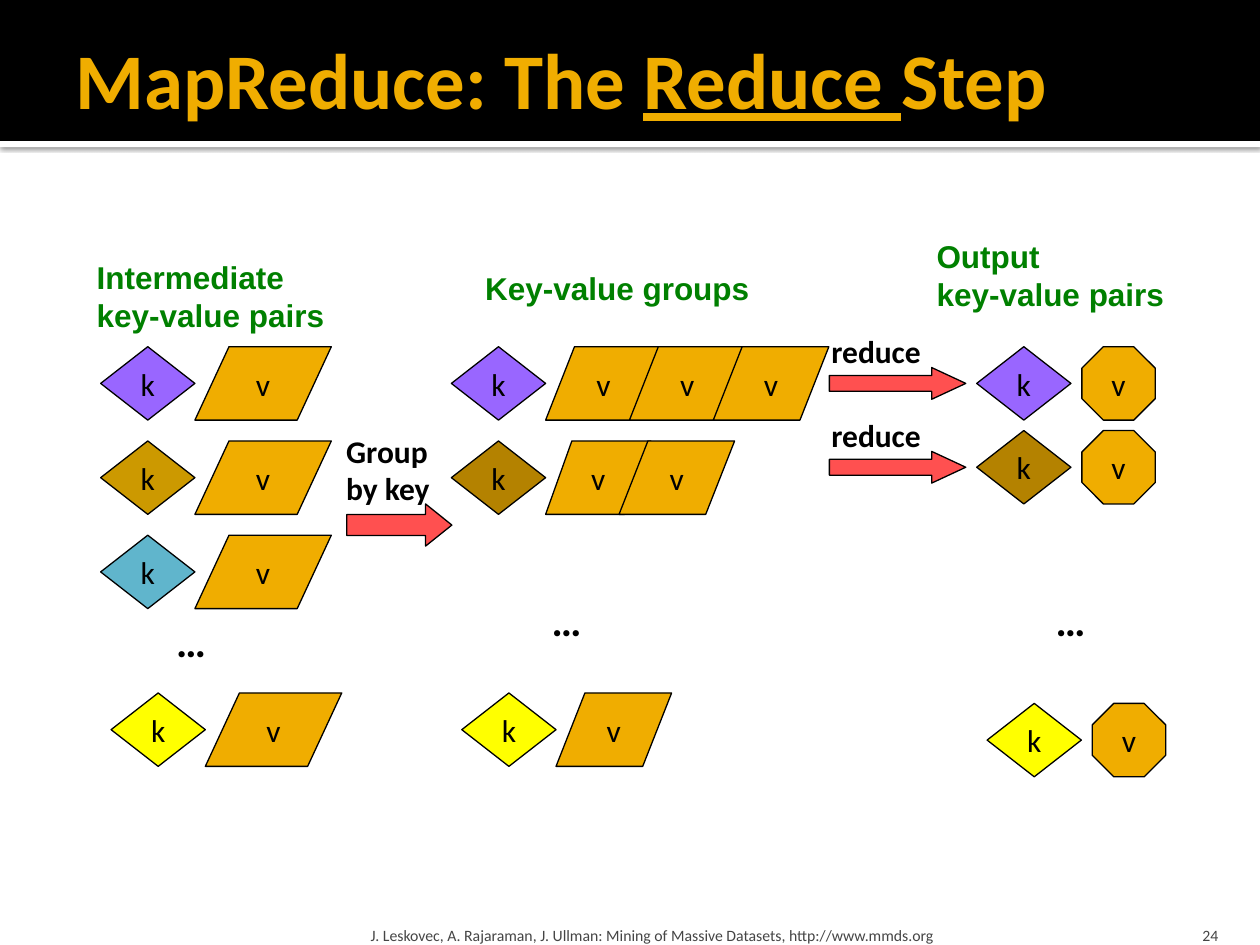
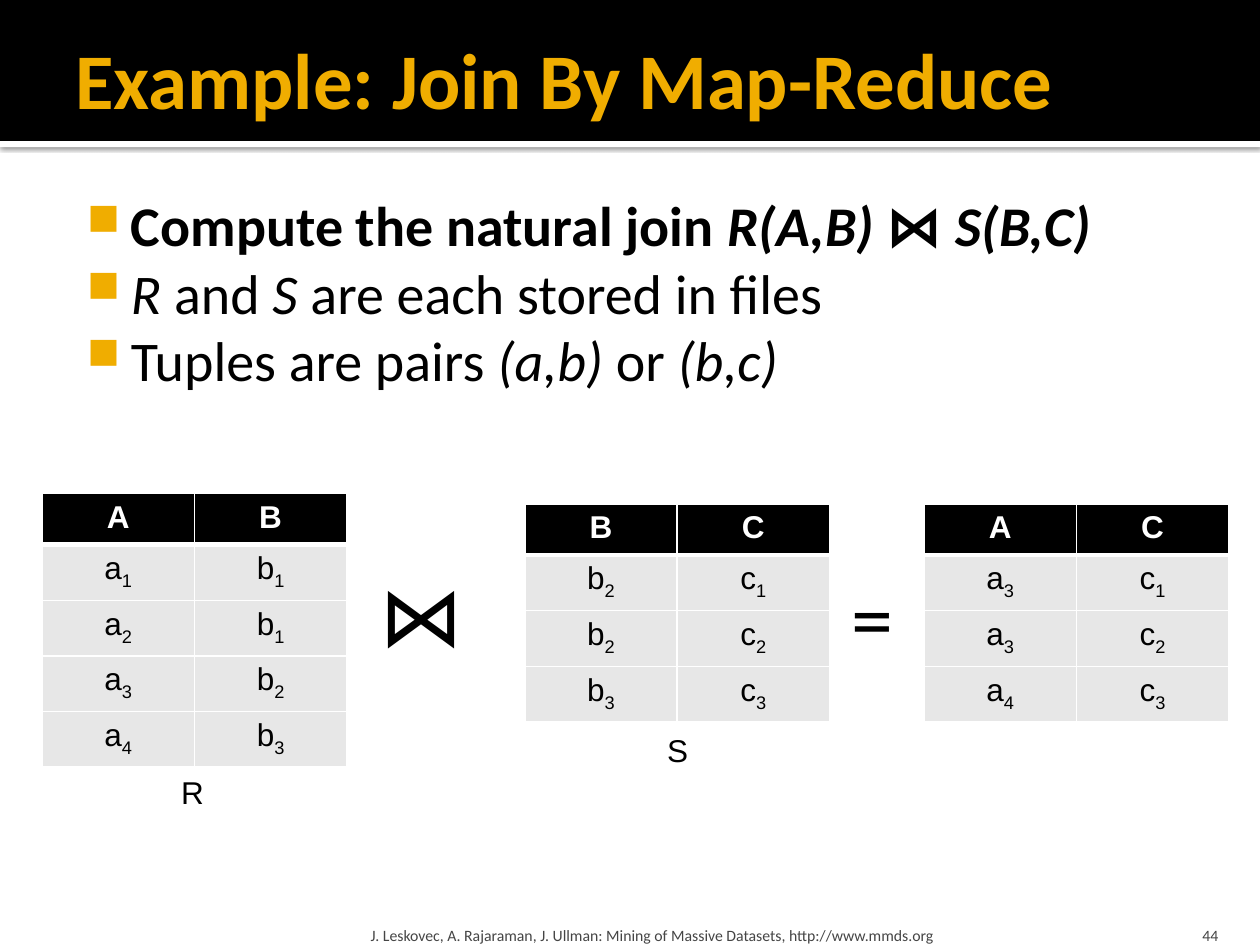
from dataclasses import dataclass

from lxml import etree
from pptx import Presentation
from pptx.dml.color import RGBColor
from pptx.enum.shapes import MSO_SHAPE
from pptx.enum.text import MSO_ANCHOR, PP_ALIGN
from pptx.oxml.ns import qn
from pptx.util import Cm, Pt

RECTANGLE = MSO_SHAPE.RECTANGLE
DIAMOND = MSO_SHAPE.DIAMOND
PARALLELOGRAM = MSO_SHAPE.PARALLELOGRAM
OCTAGON = MSO_SHAPE.OCTAGON
RIGHT_ARROW = MSO_SHAPE.RIGHT_ARROW
TOP, MIDDLE, BOTTOM = MSO_ANCHOR.TOP, MSO_ANCHOR.MIDDLE, MSO_ANCHOR.BOTTOM
LEFT, CENTER, RIGHT = PP_ALIGN.LEFT, PP_ALIGN.CENTER, PP_ALIGN.RIGHT

FOOTER = "J. Leskovec, A. Rajaraman, J. Ullman: Mining of Massive Datasets, http://www.mmds.org"
DEFAULT_INSETS = (0.25, 0.13, 0.25, 0.13)
KEY_WIDTH, ITEM_HEIGHT = 1.9, 1.48


@dataclass(frozen=True)
class Theme:
    black: str = "000000"
    white: str = "FFFFFF"
    gold: str = "F0AD00"
    green: str = "008000"
    grey: str = "454545"
    cell: str = "E7E7E7"
    red: str = "FF5050"
    purple: str = "9966FF"
    ochre: str = "CC9900"
    brown: str = "B48200"
    blue: str = "60B5CC"
    yellow: str = "FFFF00"
    body_font: str = "Calibri"
    plain_font: str = "Arial"
    title_size: int = 45
    symbol_size: int = 48
    body_size: int = 32
    dots_size: int = 24
    label_size: int = 18
    footer_size: int = 9


THEME = Theme()


def add_element(parent, tag, **attributes):
    element = etree.SubElement(parent, qn(tag))
    for name, value in attributes.items():
        element.set(name, str(value))
    return element


def write(frame, paragraphs, size=THEME.label_size, font=THEME.body_font,
          color=THEME.black, bold=False, align=LEFT, bullet=False):
    """Each paragraph is a string or a list of (text, flags): b, i, u, s for subscript."""
    if isinstance(paragraphs, str):
        paragraphs = [paragraphs]
    for index, runs in enumerate(paragraphs):
        paragraph = frame.add_paragraph() if index else frame.paragraphs[0]
        paragraph.alignment = align
        if bullet:
            add_bullet(paragraph)
        for text, flags in [(runs, "")] if isinstance(runs, str) else runs:
            run = paragraph.add_run()
            run.text = text
            run.font.name = font
            run.font.size = Pt(size)
            run.font.color.rgb = RGBColor.from_string(color)
            run.font.bold = bold or "b" in flags
            run.font.italic = "i" in flags
            run.font.underline = "u" in flags
            if "s" in flags:
                run.font._element.set("baseline", "-25000")


def add_bullet(paragraph):
    properties = paragraph._p.get_or_add_pPr()
    properties.set("marL", str(Cm(1.22)))
    properties.set("indent", str(-Cm(0.89)))
    color = add_element(properties, "a:buClr")
    add_element(color, "a:srgbClr", val=THEME.gold)
    add_element(properties, "a:buSzPct", val=80000)
    add_element(properties, "a:buChar", char="■")


def set_frame(frame, anchor, wrap, insets=DEFAULT_INSETS):
    frame.word_wrap = wrap
    frame.vertical_anchor = anchor
    (frame.margin_left, frame.margin_top,
     frame.margin_right, frame.margin_bottom) = map(Cm, insets)


def set_borders(cell, bottom_width):
    properties = cell._tc.get_or_add_tcPr()
    widths = {"a:lnL": 1, "a:lnR": 1, "a:lnT": 1, "a:lnB": bottom_width}
    for index, (tag, width) in enumerate(widths.items()):
        line = add_element(properties, tag, w=Pt(width))
        fill = add_element(line, "a:solidFill")
        add_element(fill, "a:srgbClr", val=THEME.white)
        properties.insert(index, line)


class Deck:
    def __init__(self, theme):
        self.theme = theme
        self.presentation = Presentation()
        self.presentation.slide_width = Cm(25.4)
        self.presentation.slide_height = Cm(19.05)
        self.slide = None

    def add_slide(self, title, number):
        theme = self.theme
        self.slide = self.presentation.slides.add_slide(self.presentation.slide_layouts[6])
        stripe = self.add_shape(RECTANGLE, 0, 2.84, 25.4, 0.13, theme.white, outlined=False)
        self.add_shadow(stripe)
        self.add_shape(RECTANGLE, 0, 0, 25.4, 2.84, theme.black, outlined=False)
        self.add_text(title, 1.27, 0.2, 22.86, 2.74, anchor=MIDDLE, wrap=True,
                      insets=(0.25, 0.13, 0.13, 0.13), size=theme.title_size,
                      color=theme.gold, bold=True)
        footer_style = {"anchor": BOTTOM, "wrap": True, "size": theme.footer_size,
                        "color": theme.grey}
        self.add_text(FOOTER, 7.34, 18.29, 15.29, 0.76,
                      insets=(0.13, 0.13, 0.13, 0), **footer_style)
        self.add_text(number, 22.78, 18.29, 2.03, 0.76, align=RIGHT,
                      insets=(0.25, 0.13, 0.25, 0), **footer_style)

    def add_shadow(self, shape):
        properties = shape._element.spPr
        effects = properties.find(qn("a:effectLst"))
        shadow = add_element(effects, "a:outerShdw", blurRad=Pt(2.5), dist=Pt(0.8),
                             dir=5400000, algn="tl", rotWithShape=0)
        color = add_element(shadow, "a:srgbClr", val=self.theme.black)
        add_element(color, "a:alpha", val=60000)

    def add_shape(self, kind, left, top, width, height, fill, text="", outlined=True):
        shape = self.slide.shapes.add_shape(kind, Cm(left), Cm(top), Cm(width), Cm(height))
        shape.shadow.inherit = False
        shape.fill.solid()
        shape.fill.fore_color.rgb = RGBColor.from_string(fill)
        if outlined:
            shape.line.color.rgb = RGBColor.from_string(self.theme.black)
            shape.line.width = Pt(0.75)
        else:
            shape.line.fill.background()
        quarter = width / 4 / height
        if kind == PARALLELOGRAM:
            shape.adjustments[0] = quarter
        elif kind == RIGHT_ARROW:
            shape.adjustments[1] = quarter
        if text:
            set_frame(shape.text_frame, MIDDLE, False)
            write(shape.text_frame, text, align=CENTER)
        return shape

    def add_text(self, text, left, top, width, height, anchor=TOP, wrap=False,
                 insets=DEFAULT_INSETS, **text_format):
        box = self.slide.shapes.add_textbox(Cm(left), Cm(top), Cm(width), Cm(height))
        set_frame(box.text_frame, anchor, wrap, insets)
        write(box.text_frame, text, **text_format)

    def add_heading(self, text, left, top, width, height):
        self.add_text(text, left, top, width, height, font=self.theme.plain_font,
                      color=self.theme.green, bold=True)

    def add_key(self, left, top, color):
        self.add_shape(DIAMOND, left, top, KEY_WIDTH, ITEM_HEIGHT, color, "k")

    def add_group(self, left, top, color, widths, step=0.0):
        self.add_key(left, top, color)
        for index, width in enumerate(widths):
            self.add_shape(PARALLELOGRAM, left + KEY_WIDTH + index * step, top,
                           width, ITEM_HEIGHT, self.theme.gold, "v")

    def add_output(self, left, top, color):
        self.add_key(left, top, color)
        self.add_shape(OCTAGON, left + 2.12, top, ITEM_HEIGHT, ITEM_HEIGHT,
                       self.theme.gold, "v")

    def add_arrow(self, left, top, width, height):
        self.add_shape(RIGHT_ARROW, left, top, width, height, self.theme.red)

    def add_relation(self, left, top, header, tuples, row_height=1.03):
        theme = self.theme
        rows = [header.split()] + [line.split() for line in tuples]
        frame = self.slide.shapes.add_table(len(rows), 2, Cm(left), Cm(top),
                                            Cm(6.14), Cm(1.03 + row_height * len(tuples)))
        table = frame.table
        for row_index, values in enumerate(rows):
            is_header = row_index == 0
            table.rows[row_index].height = Cm(1.03 if is_header else row_height)
            for column_index, value in enumerate(values):
                cell = table.cell(row_index, column_index)
                cell.fill.solid()
                cell.fill.fore_color.rgb = RGBColor.from_string(
                    theme.black if is_header else theme.cell)
                set_borders(cell, 3 if is_header else 1)
                runs = value if is_header else [(value[0], ""), (value[1:], "s")]
                write(cell.text_frame, [runs], font=theme.plain_font, bold=is_header,
                      color=theme.white if is_header else theme.black, align=CENTER)


def build_reduce_step(deck):
    theme = deck.theme
    deck.add_slide([[("MapReduce: The ", ""), ("Reduce ", "u"), ("Step", "")]], "24")

    deck.add_heading(["Intermediate", "key-value pairs"], 1.7, 5.08, 5.13, 1.8)
    for index, color in enumerate((theme.purple, theme.ochre, theme.blue)):
        deck.add_group(2.03, 6.99 + index * 1.9, color, [2.75])
    deck.add_group(2.24, 13.97, theme.yellow, [2.75])

    deck.add_arrow(6.99, 10.16, 2.12, 0.85)
    deck.add_text(["Group", "by key"], 6.73, 8.57, 2.31, 1.8, bold=True)

    deck.add_heading("Key-value groups", 9.53, 5.29, 6.55, 1.02)
    deck.add_group(9.1, 6.99, theme.purple, [2.33] * 3, step=1.69)
    deck.add_group(9.1, 8.89, theme.brown, [2.12, 2.33], step=1.48)
    deck.add_group(9.31, 13.97, theme.yellow, [2.33])

    deck.add_heading(["Output", "key-value pairs"], 18.63, 4.65, 5.72, 1.78)
    for top, color in ((6.99, theme.purple), (8.68, theme.brown)):
        deck.add_arrow(16.72, top + 0.42, 2.75, 0.64)
        deck.add_text("reduce", 16.51, top - 0.43, 2.39, 1.02, bold=True)
        deck.add_output(19.69, top, color)
    deck.add_output(19.9, 14.18, theme.yellow)

    for left, top in ((3.3, 12.28), (10.87, 11.86), (21.03, 11.86)):
        deck.add_text("…", left, top, 1.4, 1.27, size=theme.dots_size, bold=True)


def build_join_example(deck):
    theme = deck.theme
    deck.add_slide("Example: Join By Map-Reduce", "44")
    points = [
        [("Compute the natural join ", "b"), ("R(A,B) ", "bi"), ("⋈", "b"), (" S(B,C)", "bi")],
        [("R", "i"), (" and ", ""), ("S", "i"), (" are each stored in files", "")],
        [("Tuples are pairs ", ""), ("(a,b)", "i"), (" or ", ""), ("(b,c)", "i")],
    ]
    deck.add_text(points, 1.27, 3.6, 22.86, 5.92, wrap=True,
                  insets=(0.15, 0.25, 0.25, 0.13), size=theme.body_size, bullet=True)

    deck.add_relation(0.85, 9.95, "A B", ["a1 b1", "a2 b1", "a3 b2", "a4 b3"])
    deck.add_relation(10.58, 10.16, "B C", ["b2 c1", "b2 c2", "b3 c3"])
    deck.add_relation(18.63, 10.16, "A C", ["a3 c1", "a3 c2", "a4 c3"], row_height=1.12)

    deck.add_text("⋈", 7.41, 11.22, 1.93, 2.31, size=theme.symbol_size)
    deck.add_text("=", 16.92, 11.28, 1.4, 2.31, size=theme.symbol_size)
    for name, left, top in (("R", 3.4, 15.45), ("S", 13.2, 14.6)):
        deck.add_text(name, left, top, 0.97, 1.02, font=theme.plain_font)


def main():
    deck = Deck(THEME)
    build_reduce_step(deck)
    build_join_example(deck)
    deck.presentation.save("out.pptx")


if __name__ == "__main__":
    main()
